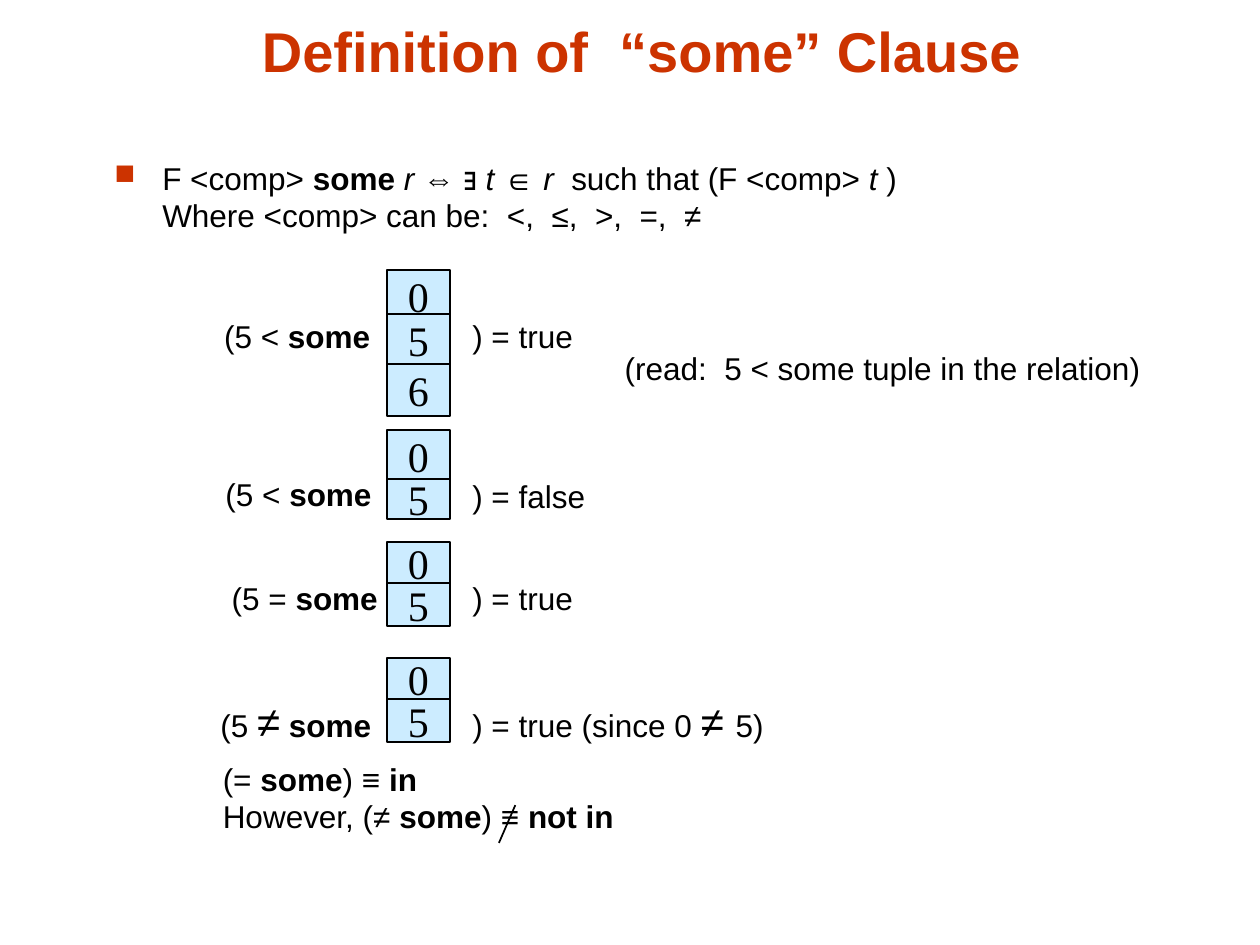
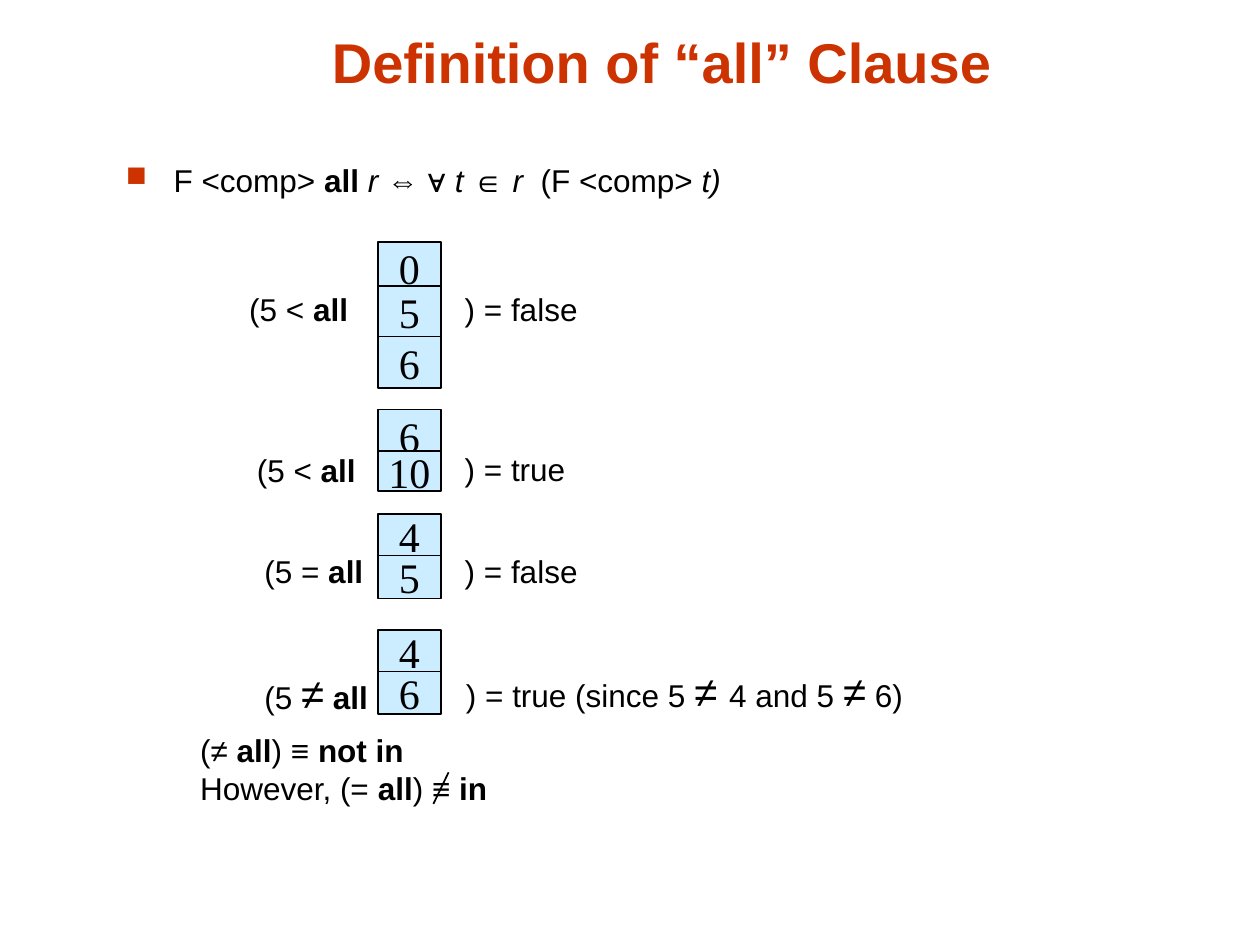
from lxml import etree
from pptx import Presentation
from pptx.dml.color import RGBColor
from pptx.enum.shapes import MSO_CONNECTOR, MSO_SHAPE
from pptx.enum.text import MSO_ANCHOR, PP_ALIGN
from pptx.oxml.ns import qn
from pptx.util import Inches, Pt

RECT = MSO_SHAPE.RECTANGLE
STRAIGHT = MSO_CONNECTOR.STRAIGHT
MIDDLE, BOTTOM = MSO_ANCHOR.MIDDLE, MSO_ANCHOR.BOTTOM
LEFT, CENTER = PP_ALIGN.LEFT, PP_ALIGN.CENTER

COLORS = {"accent": "CC3300", "cell": "CCECFF", "ink": "000000"}
SANS, SERIF = "Arial", "Times New Roman"
TITLE_SIZE, TEXT_SIZE, BIG_SIZE = 32, 18, 24
CELL_WIDTH = 0.5
CELL_HEIGHTS = [[0.41, 0.41, 0.41], [0.42, 0.32], [0.34, 0.34], [0.34, 0.34]]

SOME, ALL = ("some", "b"), ("all", "b")
NOT_EQUAL = ("≠", "big")

SLIDES = [
    {
        "title": ("Definition of  “some” Clause", (0.68, 0.04, 8.83, 0.67)),
        "rule_box": (0.81, 1.21, 7.44, 0.78),
        "rule": ["F <comp> ", ("some ", "b"), ("r ", "i"), "⇔ ∃ ", ("t ", "i"), "∈ ",
                 ("r  ", "i"), "such that (F <comp> ", ("t ", "i"), ")", "\n",
                 "Where <comp> can be:  <,  ≤,  >,  =,  ≠"],
        "cell_left": 3.07,
        "cases": [
            {"cells": [("0", 2.14), ("5", 2.49), ("6", 2.89)],
             "test": (["(5 < ", SOME], 1.68, 2.47, 1.48),
             "result": ([") = true"], 3.65, 2.47, 1)},
            {"cells": [("0", 3.41), ("5", 3.8)],
             "test": (["(5 < ", SOME], 1.69, 3.72, 1.51),
             "result": ([") = false"], 3.65, 3.74, 1.33)},
            {"cells": [("0", 4.3), ("5", 4.63)],
             "test": (["(5 = ", SOME], 1.74, 4.55, 1.67),
             "result": ([") = true"], 3.65, 4.55, 1.33)},
            {"cells": [("0", 5.22), ("5", 5.55)],
             "test": (["(5 ", NOT_EQUAL, " ", SOME], 1.65, 5.47, 1.58),
             "result": ([") = true (since 0 ", ("≠ ", "big"), "5)"], 3.65, 5.47, 2.75)},
        ],
        "remarks": [(["(read:  5 < some tuple in the relation)"], 4.86, 2.72, 5.33)],
        "summary_box": (1.67, 5.98, 7.44, 0.78),
        "summary": [["(= ", SOME, ") ≡ ", ("in", "b")],
                    ["However, (≠ ", SOME, ") ≡ ", ("not in", "b")]],
        "strike": (4.09, 6.39, 3.96, 6.69),
    },
    {
        "title": ("Definition of “all” Clause", (0.84, 0.13, 8.83, 0.67)),
        "rule_box": (0.9, 1.23, 7.26, 0.42),
        "rule": ["F <comp> ", ("all ", "b"), ("r ", "i"), "⇔ ∀ ", ("t ", "i"), "∈ ",
                 ("r ", "i"), " (F <comp> ", ("t)", "i")],
        "cell_left": 3,
        "cases": [
            {"cells": [("0", 1.92), ("5", 2.27), ("6", 2.67)],
             "test": (["(5 < ", ALL], 1.88, 2.25, 1.33),
             "result": ([") = false"], 3.59, 2.25, 1.33)},
            {"cells": [("6", 3.25), ("10", 3.58)],
             "test": (["(5 < ", ALL], 1.94, 3.53, 1.33),
             "result": ([") = true"], 3.59, 3.52, 1.33)},
            {"cells": [("4", 4.08), ("5", 4.41)],
             "test": (["(5 = ", ALL], 2, 4.33, 1.33),
             "result": ([") = false"], 3.59, 4.33, 1.33)},
            {"cells": [("4", 5), ("6", 5.33)],
             "test": (["(5 ", NOT_EQUAL, " ", ALL], 2, 5.25, 1.83),
             "result": ([") = true (since 5 ", ("≠ ", "big"), "4 and 5 ", NOT_EQUAL, " 6)"],
                        3.6, 5.23, 5)},
        ],
        "remarks": [],
        "summary_box": (1.49, 5.75, 7.44, 0.78),
        "summary": [["(≠ ", ALL, ") ≡ ", ("not in", "b")],
                    ["However, (= ", ALL, ") ≡ ", ("in", "b")]],
        "strike": (3.56, 6.13, 3.44, 6.38),
    },
]


def rgb(name):
    return RGBColor.from_string(COLORS[name])


def style_run(r, size=TEXT_SIZE, font=SANS, color="ink", bold=False, italic=False):
    r.font.size, r.font.name = Pt(size), font
    r.font.bold, r.font.italic = bold, italic
    r.font.color.rgb = rgb(color)


def fill_paragraph(p, parts):
    for part in parts:
        if part == "\n":
            p.add_line_break()
            continue
        text, style = (part, "") if isinstance(part, str) else part
        r = p.add_run()
        r.text = text
        style_run(r, BIG_SIZE if style == "big" else TEXT_SIZE,
                  bold=style == "b", italic=style == "i")


def add_text(s, box, paragraphs, before=0):
    tf = s.shapes.add_textbox(*map(Inches, box)).text_frame
    tf.word_wrap = True
    for i, parts in enumerate(paragraphs):
        p = tf.add_paragraph() if i else tf.paragraphs[0]
        p.alignment, p.space_before = LEFT, Pt(before)
        fill_paragraph(p, parts)
    return tf


def add_label(s, parts, left, top, width):
    height = 0.5 if any(part[1] == "big" for part in parts) else 0.4
    add_text(s, (left, top, width, height), [parts], 11.2)


def add_title(s, text, box):
    tf = s.shapes.add_textbox(*map(Inches, box)).text_frame
    tf.word_wrap, tf.vertical_anchor = True, BOTTOM
    p = tf.paragraphs[0]
    p.text, p.alignment = text, CENTER
    style_run(p.runs[0], TITLE_SIZE, color="accent", bold=True)


def add_rule(s, box, parts):
    tf = add_text(s, box, [parts], 7.9)
    pPr = tf.paragraphs[0]._p.get_or_add_pPr()
    pPr.set("marL", str(Inches(0.38)))
    pPr.set("indent", str(-Inches(0.38)))
    color = etree.SubElement(pPr, qn("a:buClr"))
    etree.SubElement(color, qn("a:srgbClr"), val=COLORS["accent"])
    etree.SubElement(pPr, qn("a:buSzPct"), val="90000")
    etree.SubElement(pPr, qn("a:buChar"), char="■")


def add_cell(s, text, left, top, height):
    sp = s.shapes.add_shape(RECT, *map(Inches, (left, top, CELL_WIDTH, height)))
    sp.shadow.inherit = False
    sp.fill.solid()
    sp.fill.fore_color.rgb = rgb("cell")
    sp.line.color.rgb, sp.line.width = rgb("ink"), Pt(1)
    tf = sp.text_frame
    tf.word_wrap, tf.vertical_anchor = False, MIDDLE
    p = tf.paragraphs[0]
    p.text, p.alignment = text, CENTER
    style_run(p.runs[0], BIG_SIZE, SERIF)


def add_strike(s, ends):
    line = s.shapes.add_connector(STRAIGHT, *map(Inches, ends))
    line.line.color.rgb, line.line.width = rgb("ink"), Pt(1)
    etree.SubElement(line._element.spPr, qn("a:effectLst"))


def build_slide(prs, data):
    s = prs.slides.add_slide(prs.slide_layouts[6])
    add_title(s, *data["title"])
    add_rule(s, data["rule_box"], data["rule"])
    for case, heights in zip(data["cases"], CELL_HEIGHTS):
        for (value, top), height in zip(case["cells"], heights):
            add_cell(s, value, data["cell_left"], top, height)
        add_label(s, *case["test"])
        add_label(s, *case["result"])
    for remark in data["remarks"]:
        add_label(s, *remark)
    add_text(s, data["summary_box"], data["summary"])
    add_strike(s, data["strike"])


def main():
    prs = Presentation()
    prs.slide_width, prs.slide_height = Inches(10), Inches(7.5)
    for data in SLIDES:
        build_slide(prs, data)
    prs.save("out.pptx")


if __name__ == "__main__":
    main()
